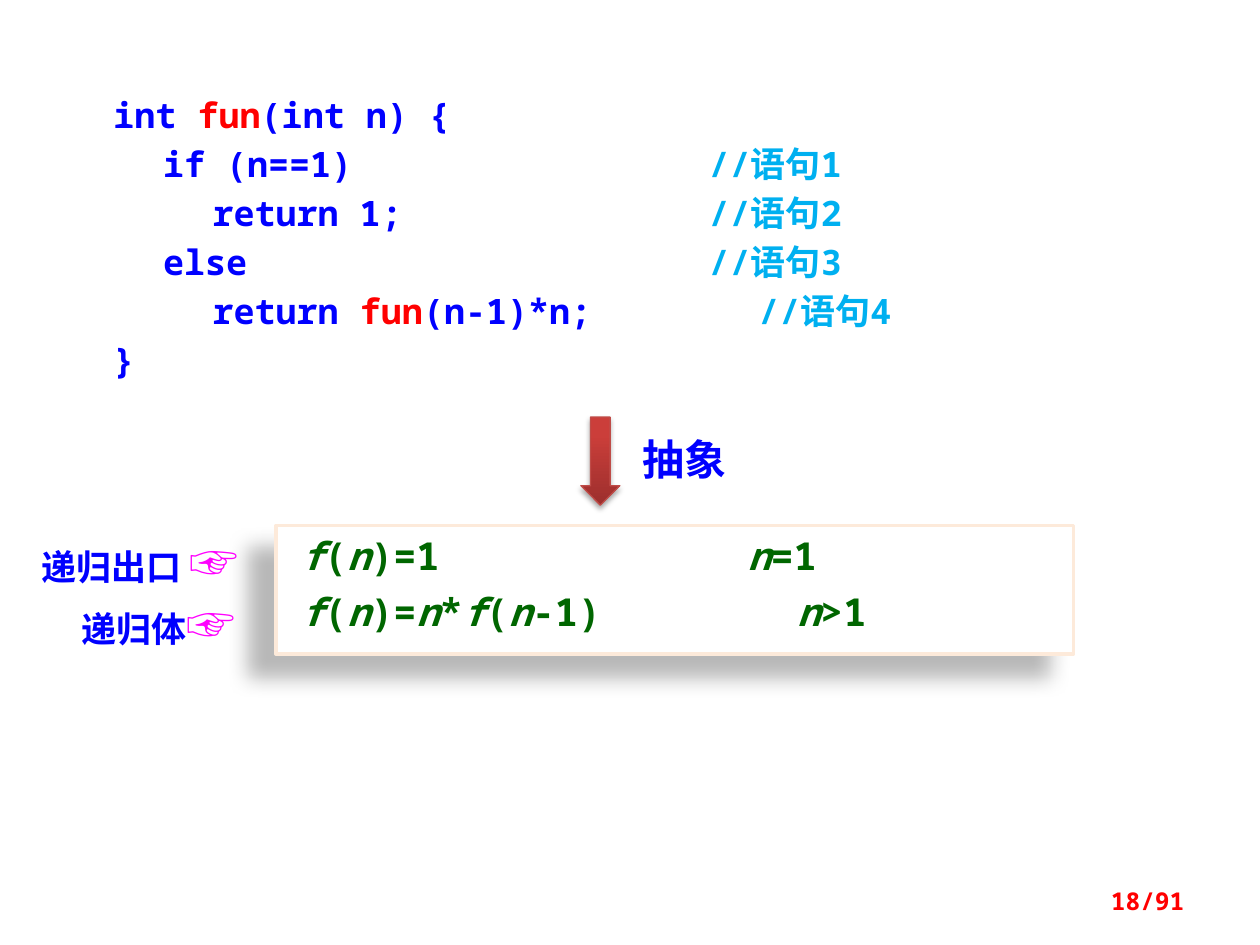
from itertools import groupby

from lxml.etree import SubElement
from pptx import Presentation
from pptx.dml.color import RGBColor
from pptx.enum.shapes import MSO_SHAPE as Shape
from pptx.enum.text import MSO_ANCHOR as Anchor, PP_ALIGN as Align
from pptx.oxml.ns import qn
from pptx.util import Cm, Inches, Pt

BLUE = RGBColor(0x00, 0x00, 0xFF)
RED = RGBColor(0xFF, 0x00, 0x00)
SKY = RGBColor(0x00, 0xB0, 0xF0)
GREEN = RGBColor(0x00, 0x66, 0x00)
PINK = RGBColor(0xFF, 0x00, 0xFF)
WHITE = RGBColor(0xFF, 0xFF, 0xFF)
PEACH = RGBColor(0xFD, 0xEA, 0xDA)
BLACK = RGBColor(0x00, 0x00, 0x00)
ARROW_DARK = RGBColor(0x9C, 0x2F, 0x2D)
ARROW_LIGHT = RGBColor(0xCB, 0x3E, 0x3A)
ARROW_EDGE = RGBColor(0xBF, 0x4C, 0x48)
MONO, CJK = "Noto Sans Mono", "Noto Sans CJK SC"

deck = Presentation()
deck.slide_width, deck.slide_height = Inches(10), Inches(7.5)
page = deck.slides.add_slide(deck.slide_layouts[6])
# The page is a grid of 100 columns by 100 rows.
COL, ROW = deck.slide_width // 100, deck.slide_height // 100


def place(left, top, width, height):
    """Turn grid columns and rows into slide lengths."""
    return [int(n * unit) for n, unit in zip((left, top, width, height), (COL, ROW) * 2)]


def write(para, text, size=20, color=BLUE, font=MONO, italic=False):
    span = para.add_run()
    span.text = text
    span.font.size, span.font.name = Pt(size), font
    span.font.bold, span.font.italic = True, italic
    span.font.color.rgb = color
    SubElement(span.font._element, qn("a:ea"), typeface=CJK)


# Each line: its tab stops in centimetres, then its coloured spans.
code_lines = [
    ([], [("int ", BLUE), ("fun", RED), ("(int n) {", BLUE)]),
    ([1, 12], [("\tif (n==1)\t", BLUE), ("//语句1", SKY)]),
    ([1, 2, 12], [("\t\treturn 1;\t", BLUE), ("//语句2", SKY)]),
    ([1, 12], [("\telse\t", BLUE), ("//语句3", SKY)]),
    ([1, 2, 13], [("\t\treturn ", BLUE), ("fun", RED), ("(n-1)*n;\t", BLUE), ("//语句4", SKY)]),
    ([], [("}", BLUE)]),
]
formula_lines = [
    ([9], [("f(n)=1\tn=1", GREEN)]),
    ([10], [("f(n)=n*f(n-1)\tn>1", GREEN)]),
]

# Code and formula panels
panels = []
for cells, lines, is_formula in (
    ((7, 7.6, 85.2, 34.53), code_lines, False),
    ((21.9, 55.6, 63.3, 13.6), formula_lines, True),
):
    panel = page.shapes.add_shape(Shape.RECTANGLE, *place(*cells))
    panels.append(panel)
    panel.shadow.inherit = False
    panel.fill.solid()
    panel.fill.fore_color.rgb = WHITE
    panel.line.fill.background()
    frame = panel.text_frame
    frame.word_wrap, frame.vertical_anchor = True, Anchor.TOP
    frame.margin_left, frame.margin_right = 2 * COL, (2 if is_formula else 1) * COL
    frame.margin_top = frame.margin_bottom = int(1.6 * ROW)
    for index, (stops, spans) in enumerate(lines):
        para = frame.paragraphs[0] if index == 0 else frame.add_paragraph()
        if stops:
            tabs = SubElement(para._p.get_or_add_pPr(), qn("a:tabLst"))
            for stop in stops:
                SubElement(tabs, qn("a:tab"), pos=str(int(Cm(stop))), algn="l")
        para.alignment = Align.LEFT
        para.line_spacing = 0.8 if is_formula else Pt(28)
        if is_formula and index:
            para.space_before = Pt(11)
        for text, color in spans:
            if is_formula:  # letters are italic, signs and digits upright
                for letters, part in groupby(text, str.isalpha):
                    write(para, "".join(part), size=22, color=color, italic=letters)
            else:
                write(para, text, color=color)

formula = panels[1]
formula.line.color.rgb, formula.line.width = PEACH, Pt(2)

# Arrow from the code to its abstraction
arrow = page.shapes.add_shape(Shape.DOWN_ARROW, *place(46.1, 44.13, 3.1, 9.33))
arrow.shadow.inherit = False
arrow.fill.gradient()
arrow.fill.gradient_angle = 90
for stop, color, position in zip(arrow.fill.gradient_stops, (ARROW_DARK, ARROW_LIGHT), (0, 0.8)):
    stop.color.rgb, stop.position = color, position
arrow.line.color.rgb, arrow.line.width = ARROW_EDGE, Pt(0.75)

# Soft shadows: opacity in percent, blur and distance in points, angle in degrees
for shape, opacity, blur, distance, angle in (
    (formula, 28, 11.8, 19.7, 141),
    (arrow, 35, 3.1, 1.8, 90),
):
    effects = shape._element.spPr.find(qn("a:effectLst"))
    shadow = SubElement(
        effects, qn("a:outerShdw"), blurRad=str(int(Pt(blur))), dist=str(int(Pt(distance))),
        dir=str(angle * 60000), algn="ctr", rotWithShape="0",
    )
    tint = SubElement(shadow, qn("a:srgbClr"), val=str(BLACK))
    SubElement(tint, qn("a:alpha"), val=str(opacity * 1000))

# Labels and page number
for cells, align, anchor, spans in (
    ((50, 45.2, 10.9, 6.67), Align.LEFT, Anchor.TOP, [("抽象", 24, BLUE, CJK)]),
    ((2.3, 55.6, 18.8, 7.6), Align.LEFT, Anchor.TOP,
     [("递归出口 ", 20, BLUE, MONO), ("☞", 28, PINK, MONO)]),
    ((5.5, 62.13, 14.8, 7.6), Align.LEFT, Anchor.TOP,
     [("递归体", 20, BLUE, MONO), ("☞", 28, PINK, MONO)]),
    ((71.7, 92.67, 23.3, 5.33), Align.RIGHT, Anchor.MIDDLE, [("18/91", 14, RED, MONO)]),
):
    box = page.shapes.add_textbox(*place(*cells))
    box.text_frame.word_wrap, box.text_frame.vertical_anchor = True, anchor
    para = box.text_frame.paragraphs[0]
    para.alignment = align
    for text, size, color, font in spans:
        write(para, text, size=size, color=color, font=font)

deck.save("out.pptx")
